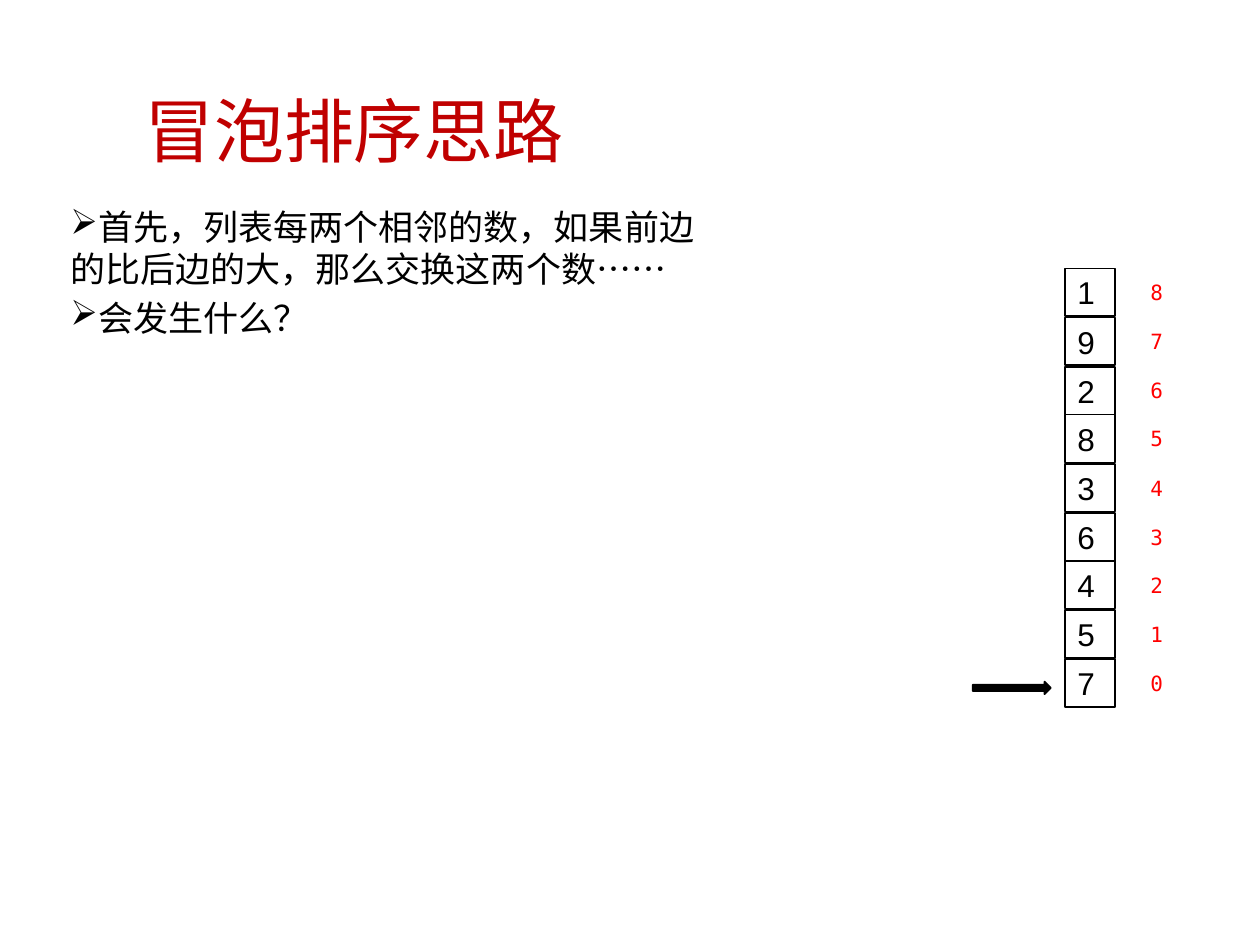
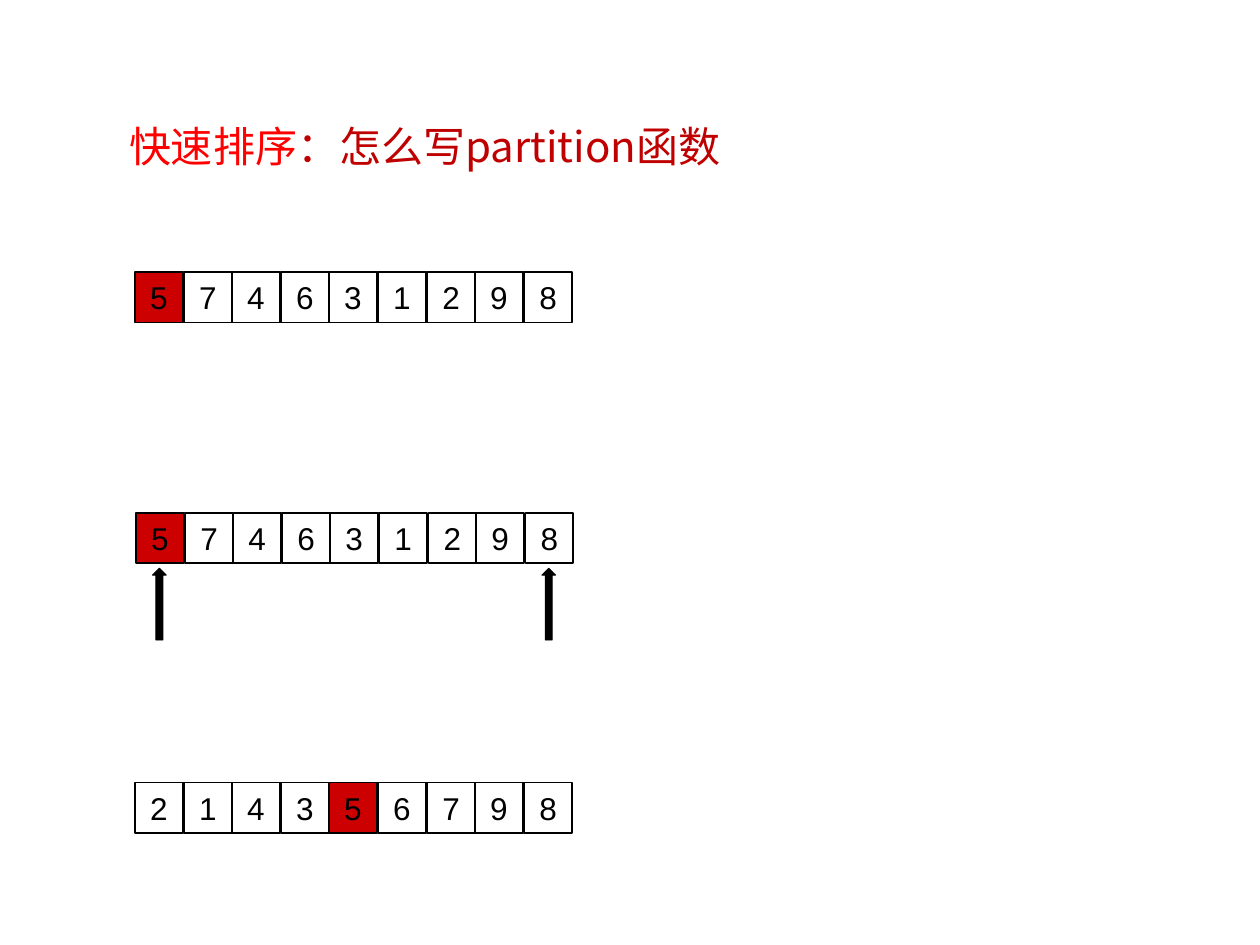
from dataclasses import dataclass

from lxml import etree
from pptx import Presentation
from pptx import util as u
from pptx.dml.color import RGBColor
from pptx.enum import shapes, text
from pptx.oxml.ns import qn

PX = 9144
STEPS = 8


@dataclass(frozen=True)
class Theme:
    """Colours, fonts and type sizes shared by the slides."""
    title: str = "C00000"
    accent: str = "FF0000"
    pivot: str = "CC0000"
    ink: str = "000000"
    paper: str = "FFFFFF"
    latin: str = "Arial"
    cjk: str = "Noto Sans CJK SC"
    mono: str = "DejaVu Sans Mono"
    big_title: int = 40
    small_title: int = 24
    body: int = 20
    digit: int = 18
    index: int = 12


@dataclass(frozen=True)
class Area:
    """A rectangle in px."""
    left: int
    top: int
    width: int
    height: int

    def emu(self) -> list[int]:
        """Return the rectangle in EMU."""
        return [side * PX for side in (self.left, self.top, self.width, self.height)]


@dataclass(frozen=True)
class NumberRow:
    """A horizontal list of digits with one pivot."""
    left: int
    top: int
    digits: str
    pivot: int


@dataclass(frozen=True)
class Arrow:
    """A block arrow."""
    kind: shapes.MSO_SHAPE
    area: Area
    line: float


THEME = Theme()
ROWS = [
    NumberRow(107, 216, "574631298", 0),
    NumberRow(108, 407, "574631298", 0),
    NumberRow(107, 621, "214356798", 4),
]
POINTERS = [Arrow(shapes.MSO_SHAPE.UP_ARROW, Area(left, 451, 11, 57), 0.5)
            for left in (121, 430)]
CURSOR = Arrow(shapes.MSO_SHAPE.RIGHT_ARROW, Area(772, 541, 62, 10), 1)
COLUMN_DIGITS = "754638291"
IDEAS = [
    "首先，列表每两个相邻的数，如果前边的比后边的大，那么交换这两个数……",
    "会发生什么？",
]


def style(span, size: int, colour: str, latin: str, cjk: str = "") -> None:
    """Set the size, colour and fonts of a run."""
    span.font.size = u.Pt(size)
    span.font.color.rgb = RGBColor.from_string(colour)
    span.font.name = latin
    if cjk:
        etree.SubElement(span.font._element, qn("a:ea")).set("typeface", cjk)


def set_margins(frame, side: int = 0, top: int = 0) -> None:
    """Set the insets of a text frame in px."""
    frame.margin_left = frame.margin_right = side * PX
    frame.margin_top = frame.margin_bottom = top * PX


def add_title(page, width: int, size: int, parts: list[tuple[str, str]]) -> None:
    """Add a centred title made of coloured parts."""
    frame = page.shapes.add_textbox(*Area(46, 88, width, 48).emu()).text_frame
    set_margins(frame, side=10)
    frame.word_wrap = True
    frame.vertical_anchor = text.MSO_ANCHOR.BOTTOM
    para = frame.paragraphs[0]
    para.alignment = text.PP_ALIGN.CENTER
    for words, colour in parts:
        span = para.add_run()
        span.text = words
        style(span, size, colour, THEME.cjk, THEME.cjk)


def add_ideas(page, area: Area, ideas: list[str]) -> None:
    """Add a bulleted body text."""
    frame = page.shapes.add_textbox(*area.emu()).text_frame
    set_margins(frame, side=10, top=5)
    frame.word_wrap = True
    frame.text = "\n".join(ideas)
    for para in frame.paragraphs:
        para.space_before = u.Pt(4)
        para.line_spacing = u.Pt(24)
        properties = para._p.get_or_add_pPr()
        properties.set("marL", "0")
        properties.set("indent", "0")
        etree.SubElement(properties, qn("a:buChar")).set("char", "➢")
        style(para.runs[0], THEME.body, THEME.ink, THEME.latin, THEME.cjk)


def write_digit(box, digit: str, size: int, colour: str, font: str) -> None:
    """Centre one digit in a box."""
    frame = box.text_frame
    set_margins(frame)
    frame.text = digit
    frame.vertical_anchor = text.MSO_ANCHOR.MIDDLE
    para = frame.paragraphs[0]
    para.alignment = text.PP_ALIGN.CENTER
    style(para.runs[0], size, colour, font)


def add_block(page, kind: shapes.MSO_SHAPE, area: Area, fill: str, line: float):
    """Add a filled, outlined shape without a shadow."""
    box = page.shapes.add_shape(kind, *area.emu())
    box.shadow.inherit = False
    box.fill.solid()
    box.fill.fore_color.rgb = RGBColor.from_string(fill)
    box.line.color.rgb = RGBColor.from_string(THEME.ink)
    box.line.width = u.Pt(line)
    return box


def add_cell(page, area: Area, digit: str, fill: str = THEME.paper):
    """Add a list cell holding a digit."""
    box = add_block(page, shapes.MSO_SHAPE.RECTANGLE, area, fill, 1)
    write_digit(box, digit, THEME.digit, THEME.ink, THEME.latin)
    return box


def add_arrow(page, arrow: Arrow) -> None:
    """Add a black block arrow."""
    add_block(page, arrow.kind, arrow.area, THEME.ink, arrow.line)


def add_row(page, row: NumberRow) -> None:
    """Add a row of cells with its pivot highlighted."""
    for place, digit in enumerate(row.digits):
        left = row.left + round(place * 309 / STEPS)
        fill = THEME.pivot if place == row.pivot else THEME.paper
        add_cell(page, Area(left, row.top, 38, 40), digit, fill)


def add_column(page, digits: str) -> None:
    """Stack cells upwards from index 0, with their indexes beside them."""
    for index, digit in enumerate(digits):
        top = 523 - round(index * 310 / STEPS)
        box = add_cell(page, Area(845, top, 40, 38), digit)
        box.text_frame.margin_right = 6 * PX
        label = page.shapes.add_textbox(*Area(898, top, 40, 38).emu())
        write_digit(label, str(index), THEME.index, THEME.accent, THEME.mono)


def build_bubble_page(page) -> None:
    """Draw the bubble sort slide."""
    add_title(page, 470, THEME.big_title, [("冒泡排序思路", THEME.title)])
    add_ideas(page, Area(46, 158, 537, 181), IDEAS)
    add_column(page, COLUMN_DIGITS)
    add_arrow(page, CURSOR)


def build_partition_page(page) -> None:
    """Draw the quick sort partition slide."""
    add_title(page, 582, THEME.small_title,
              [("快速排序", THEME.accent), ("：怎么写partition函数", THEME.title)])
    for row in ROWS:
        add_row(page, row)
    for pointer in POINTERS:
        add_arrow(page, pointer)


def main() -> None:
    """Build and save the deck."""
    deck = Presentation()
    deck.slide_width, deck.slide_height = 1000 * PX, 750 * PX
    for build in (build_bubble_page, build_partition_page):
        build(deck.slides.add_slide(deck.slide_layouts[6]))
    deck.save("out.pptx")


if __name__ == "__main__":
    main()
